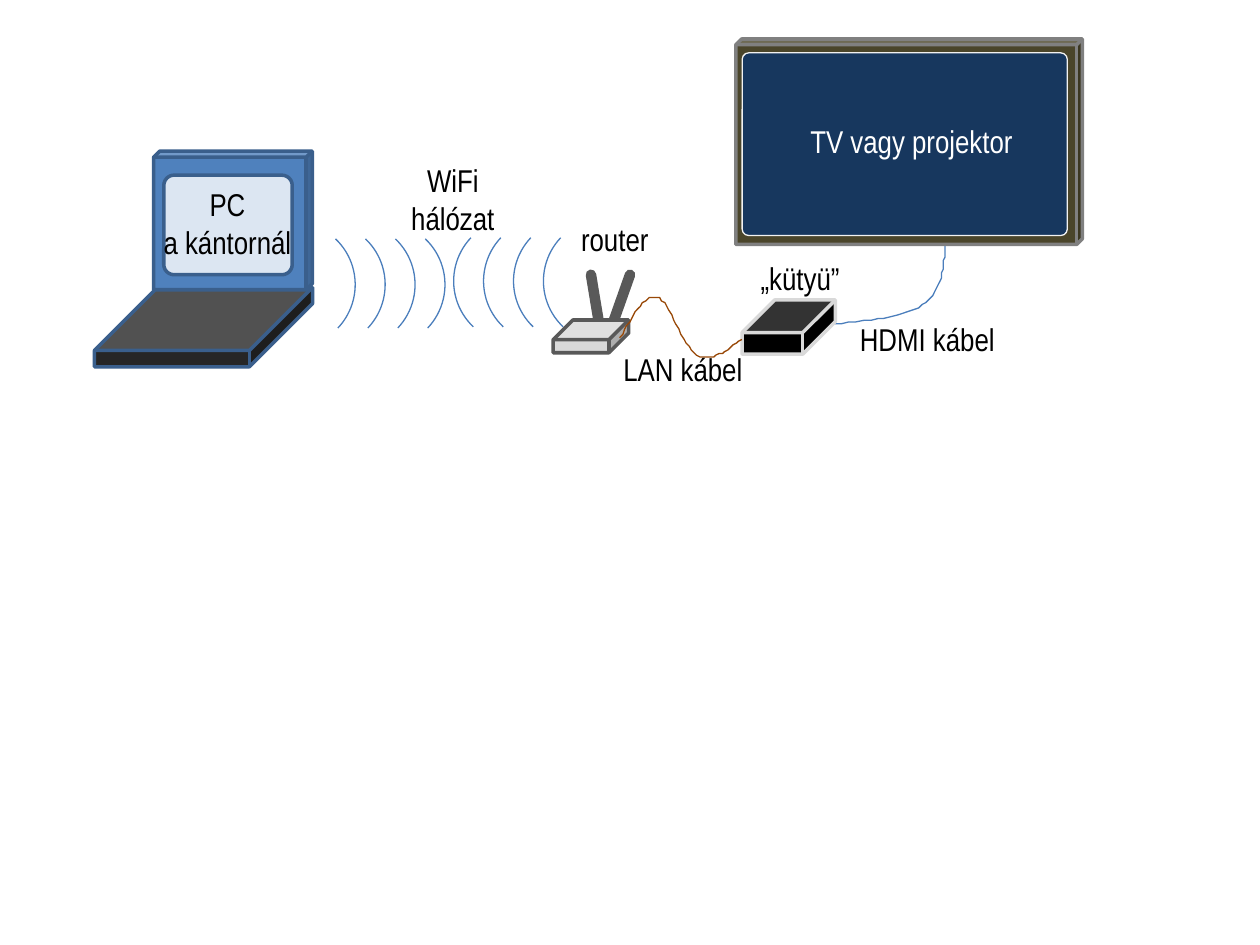
from lxml import etree
from pptx import Presentation
from pptx import util as u
from pptx.dml.color import RGBColor
from pptx.enum import shapes, text
from pptx.oxml.ns import qn

COLOURS = {
    "signal": "4B7EBC", "antenna": "595959", "outline": "3A5F8C",
    "keyboard": "262626", "laptop": "4F81BD", "laptop_screen": "DCE6F2",
    "router": "D9D9D9", "black": "000000", "white": "FFFFFF",
    "tv": "4A452A", "tv_edge": "808080", "tv_screen": "17375E",
    "tv_screen_edge": "F2F2F2", "lan": "984807",
}
CUBE = shapes.MSO_SHAPE.CUBE
ROUNDED = shapes.MSO_SHAPE.ROUNDED_RECTANGLE
CURVE_STEPS = 16


def colour(name):
    return RGBColor.from_string(COLOURS[name])


def write_text(frame, content, font="Arial Narrow", size=18, ink="black"):
    """Write one centred paragraph for each line of content."""
    for index, line in enumerate(content.split("\n")):
        paragraph = frame.add_paragraph() if index else frame.paragraphs[0]
        paragraph.alignment = text.PP_ALIGN.CENTER
        run = paragraph.add_run()
        run.text = line
        run.font.name, run.font.size = font, u.Pt(size)
        run.font.color.rgb = colour(ink)


def bezier_points(points):
    """Sample a chain of cubic Bézier segments that share their end points."""
    for first in range(0, len(points) - 1, 3):
        a, b, c, d = points[first:first + 4]
        for step in range(1, CURVE_STEPS + 1):
            t = step / CURVE_STEPS
            s = 1 - t
            yield tuple(s**3 * p + 3 * s * s * t * q + 3 * s * t * t * r + t**3 * e
                        for p, q, r, e in zip(a, b, c, d))


class Diagram:
    """Holds the slide and draws styled elements on it, in points."""

    def __init__(self, slide):
        self.slide = slide

    def stroke(self, shape, line, width):
        shape.line.color.rgb = colour(line)
        shape.line.width = u.Pt(width)

    def solid(self, kind, box, adjustment, fill, line, width=2):
        shape = self.slide.shapes.add_shape(kind, *map(u.Pt, box))
        shape.shadow.inherit = False
        shape.adjustments[0] = adjustment
        shape.fill.solid()
        shape.fill.fore_color.rgb = colour(fill)
        self.stroke(shape, line, width)

    def arc(self, left, top, rotation, size=72):
        shape = self.slide.shapes.add_shape(
            shapes.MSO_SHAPE.ARC, *map(u.Pt, (left, top, size, size)))
        shape.shadow.inherit = False
        shape.rotation = rotation
        shape.fill.background()
        self.stroke(shape, "signal", 0.75)

    def antenna(self, start, end):
        connector = self.slide.shapes.add_connector(
            shapes.MSO_CONNECTOR.STRAIGHT, *map(u.Pt, start + end))
        self.stroke(connector, "antenna", 6)
        properties = connector.element.spPr
        properties.find(qn("a:ln")).set("cap", "rnd")
        etree.SubElement(properties, qn("a:effectLst"))

    def cable(self, points, line):
        builder = self.slide.shapes.build_freeform(*points[0], scale=u.Pt(1))
        builder.add_line_segments(list(bezier_points(points)), close=False)
        shape = builder.convert_to_shape()
        shape.shadow.inherit = False
        shape.fill.background()
        self.stroke(shape, line, 0.75)

    def label(self, content, box, **style):
        frame = self.slide.shapes.add_textbox(*map(u.Pt, box)).text_frame
        frame.word_wrap = False
        frame.auto_size = text.MSO_AUTO_SIZE.SHAPE_TO_FIT_TEXT
        write_text(frame, content, **style)


def main():
    presentation = Presentation()
    presentation.slide_width, presentation.slide_height = u.Pt(720), u.Pt(540)
    diagram = Diagram(presentation.slides.add_slide(presentation.slide_layouts[6]))

    # HDMI cable and antennas lie behind the devices they join
    diagram.cable([(468, 185.8), (491, 183.6), (514.8, 182.2), (527, 174.2),
                   (539.3, 166.3), (539.3, 152.6), (540, 139)], "signal")
    diagram.antenna((342, 182.9), (337.7, 157))
    diagram.antenna((350.6, 183.6), (360, 157))

    # Laptop
    diagram.solid(CUBE, (54, 164.2, 124.6, 45.4), 0.795, "keyboard", "outline")
    diagram.solid(CUBE, (87.8, 86.4, 90.7, 79.2), 0.044, "laptop", "outline")
    diagram.solid(ROUNDED, (93.6, 100.1, 73.4, 56.9), 0.103, "laptop_screen", "outline")

    # Wireless signal
    for left, top, rotation in ((131, 126.7, 43.5), (259.2, 124.6, 223.5)):
        for index in range(4):
            diagram.arc(left + 17.1 * index, top, rotation)

    # Router, gadget and television
    diagram.solid(CUBE, (316.1, 182.9, 43.2, 18.7), 0.603, "router", "antenna")
    diagram.solid(CUBE, (424.1, 171.4, 53.3, 31), 0.603, "black", "router")
    diagram.solid(CUBE, (420.5, 22.3, 198, 117.4), 0.028, "tv", "tv_edge")
    diagram.solid(ROUNDED, (424.1, 30.2, 185.8, 104.4), 0.036,
                  "tv_screen", "tv_screen_edge", 0.75)
    diagram.cable([(354.2, 193), (361.4, 180.7), (367.9, 168.5), (375.8, 169.9),
                   (383, 171.4), (389.5, 198.7), (398.2, 203),
                   (406.1, 207.4), (415.4, 200.2), (424.1, 193.7)], "lan")

    diagram.label("PC\na kántornál", (85.7, 102.2, 88.6, 51))
    diagram.label("WiFi\nhálózat", (227.5, 88.6, 62.6, 51))
    diagram.label("router", (324.7, 122.4, 53.3, 29))
    diagram.label("LAN kábel", (348.5, 196.6, 83.5, 29))
    diagram.label("„kütyü”", (427, 144.7, 60.5, 29))
    diagram.label("HDMI kábel", (483.8, 179.3, 92.2, 29))
    diagram.label("TV vagy projektor", (455, 66.2, 131.8, 29), ink="white")

    presentation.save("out.pptx")


if __name__ == "__main__":
    main()
